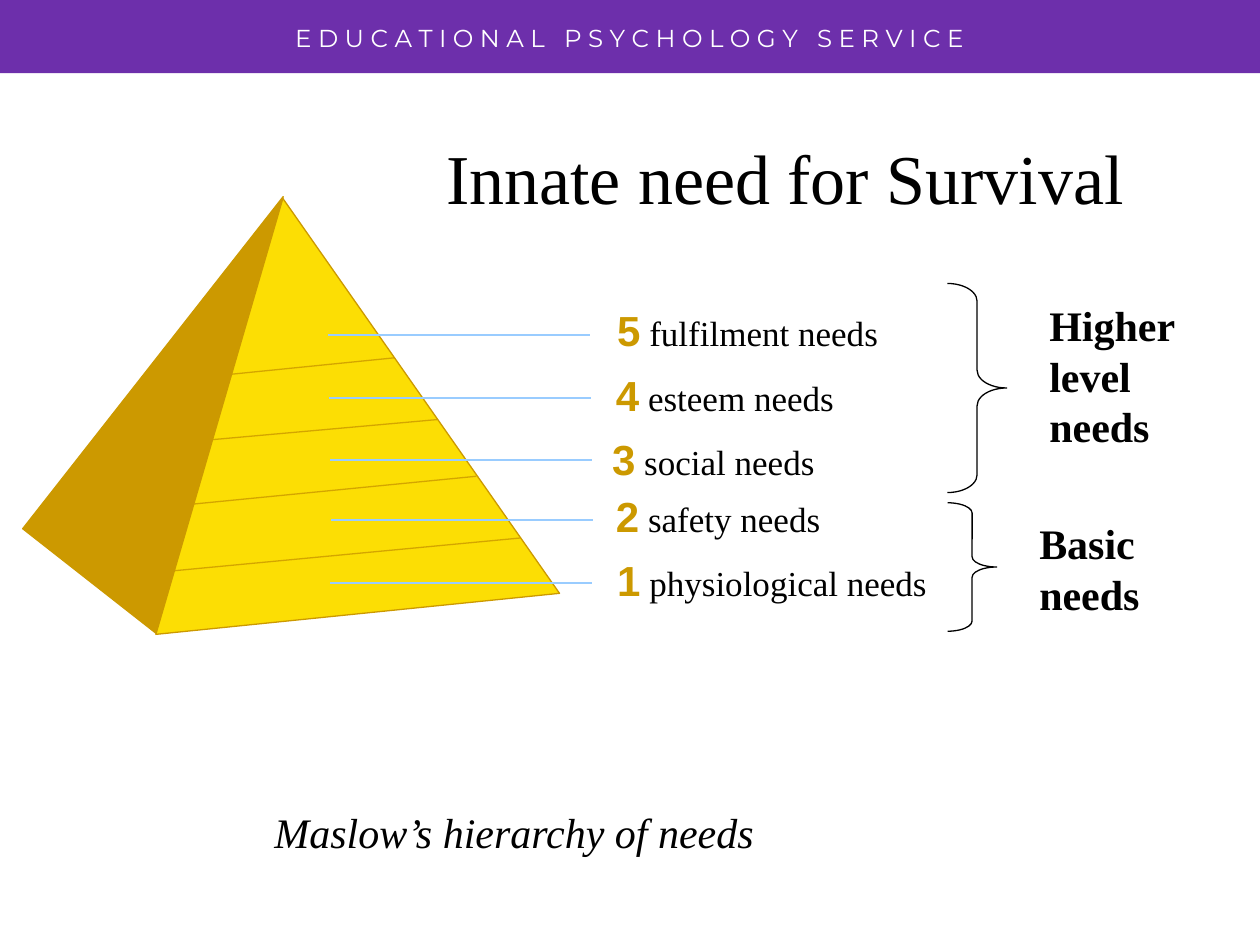
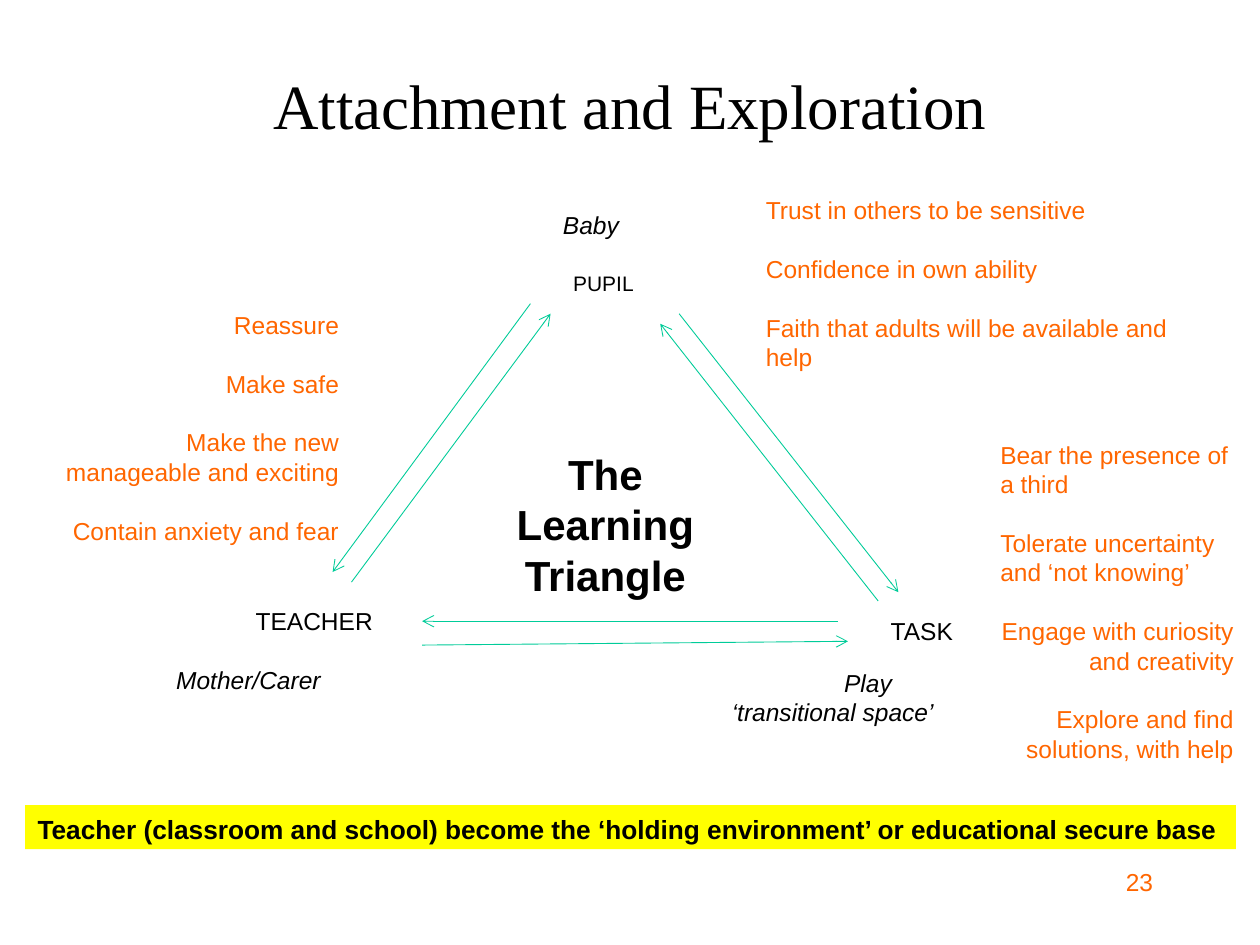
from dataclasses import dataclass

from lxml import etree
from pptx import Presentation
from pptx import util as u
from pptx.dml.color import RGBColor
from pptx.enum import shapes, text
from pptx.oxml.ns import qn


@dataclass(frozen=True)
class Theme:
    purple: str = "6D2FAB"
    gold: str = "CC9900"
    yellow: str = "FCDE04"
    highlight: str = "FFFF00"
    sky: str = "99CCFF"
    green: str = "00CC99"
    orange: str = "FF6600"
    black: str = "000000"
    white: str = "FFFFFF"
    serif: str = "Times New Roman"
    sans: str = "Arial"
    banner: str = "Montserrat"
    title: int = 40
    subtitle: int = 36
    large: int = 24
    medium: int = 20
    strip: int = 15
    body: int = 14
    small: int = 12


theme = Theme()
LEFT, CENTER, RIGHT = text.PP_ALIGN.LEFT, text.PP_ALIGN.CENTER, text.PP_ALIGN.RIGHT
TOP, MIDDLE = text.MSO_ANCHOR.TOP, text.MSO_ANCHOR.MIDDLE
PRESET = shapes.MSO_SHAPE

# Text formats
label = dict(name=theme.sans, size=theme.body, color=theme.black, bold=False, italic=False)
pupil = label | dict(size=theme.small)
role = label | dict(italic=True)
quality = label | dict(color=theme.orange)
strip = label | dict(size=theme.strip, bold=True)
centre = label | dict(size=theme.large, bold=True)
number = centre | dict(color=theme.gold)
need = label | dict(name=theme.serif, size=theme.medium)
group = centre | dict(name=theme.serif)
caption = label | dict(name=theme.serif, size=theme.large, italic=True)
heading = label | dict(name=theme.serif, size=theme.title)
subheading = heading | dict(size=theme.subtitle)
banner = label | dict(name=theme.banner, color=theme.white)

# The slide is a grid of 100 columns by 75 rows
CELL = u.Inches(0.1)


def write(box, place, lines, anchor=TOP, spacing=1.0, gap=0):
    """Place a box and fill it with lines of (alignment, (words, format), ...)."""
    for side, cells in zip(("left", "top", "width", "height"), place):
        setattr(box, side, round(cells * CELL))
    frame = box.text_frame
    frame.word_wrap = True
    frame.auto_size = text.MSO_AUTO_SIZE.NONE
    frame.vertical_anchor = anchor
    for index, (align, *spans) in enumerate(lines):
        para = frame.add_paragraph() if index else frame.paragraphs[0]
        para.alignment = align
        para.line_spacing = spacing
        para.space_before = u.Pt(gap if index else 0)
        for words, style in spans:
            span = para.add_run()
            span.text = words
            span.font.color.rgb = RGBColor.from_string(style["color"])
            span.font.size = u.Pt(style["size"])
            for key in ("name", "bold", "italic"):
                setattr(span.font, key, style[key])


def draw_line(page, ends, color, weight, arrow=False, opacity=100):
    line = page.shapes.add_connector(
        shapes.MSO_CONNECTOR.STRAIGHT, *(round(cells * CELL) for cells in ends))
    line.line.color.rgb = RGBColor.from_string(color)
    line.line.width = u.Pt(weight)
    outline = line.line._get_or_add_ln()
    if opacity < 100:
        tint = outline.find(".//" + qn("a:srgbClr"))
        etree.SubElement(tint, qn("a:alpha"), val=str(opacity * 1000))
    if arrow:
        etree.SubElement(outline, qn("a:tailEnd"), type="arrow")
    etree.SubElement(line._element.spPr, qn("a:effectLst"))


deck = Presentation()
deck.slide_width, deck.slide_height = 100 * CELL, 75 * CELL
title_only = deck.slide_layouts[5]
needs_page, triangle_page = (deck.slides.add_slide(title_only) for _ in range(2))

# Titles
for page, words, style, place in (
    (needs_page, "Innate need for Survival", heading, (31.9, 9.4, 60.8, 9.2)),
    (triangle_page, "Attachment and Exploration", subheading, (7.5, 2, 85, 12.5)),
):
    write(page.shapes.title, place, [(CENTER, (words, style))], MIDDLE)

# Filled shapes and braces: page, preset, place, rotation, adjustment, fill, outline, line
for page, preset, place, turn, adjust, fill, edge, line in (
    (needs_page, PRESET.RECTANGLE, (0, 0, 100, 5.8), 0, None, theme.purple, None,
     (CENTER, (" ".join("EDUCATIONAL PSYCHOLOGY SERVICE"), banner))),
    (needs_page, PRESET.ISOSCELES_TRIANGLE, (10.7, 16.2, 13.5, 33.5), 38.1, 0,
     theme.gold, theme.gold, None),
    (needs_page, PRESET.ISOSCELES_TRIANGLE, (10.6, 15.4, 32.2, 33.4), 354.2, 0.42,
     theme.yellow, theme.gold, None),
    (needs_page, PRESET.RIGHT_BRACE, (75.2, 22.5, 4.7, 16.6), 0, 0.3,
     None, theme.black, None),
    (needs_page, PRESET.RIGHT_BRACE, (75.2, 39.9, 3.9, 10.2), 0, 0.21,
     None, theme.black, None),
    (triangle_page, PRESET.RECTANGLE, (2, 63.9, 96.1, 3.5), 0, None, theme.highlight, None,
     (LEFT, ("Teacher (classroom and school) become the ‘holding environment’ "
             "or educational secure base", strip))),
):
    block = page.shapes.add_shape(preset, *(round(cells * CELL) for cells in place))
    block.shadow.inherit = False
    block.rotation = turn
    if adjust is not None:
        block.adjustments[0] = adjust
    if fill:
        block.fill.solid()
        block.fill.fore_color.rgb = RGBColor.from_string(fill)
    else:
        block.fill.background()
    if edge:
        block.line.color.rgb = RGBColor.from_string(edge)
        block.line.width = u.Pt(0.75)
    else:
        block.line.fill.background()
    if line:
        write(block, place, [line], MIDDLE)
        block.text_frame.margin_top = u.Inches(0.07)

# Pyramid seams
for seam in (
    (13.8, 45.3, 41.3, 42.7),
    (15.4, 40, 37.8, 37.8),
    (16.8, 34.9, 34.7, 33.3),
    (18.4, 29.7, 31.3, 28.4),
):
    draw_line(needs_page, seam, theme.gold, 0.75, opacity=82)

# Levels of need, each with its pointer: level, words, pointer start, words corner
for level, words, (x, y), corner in (
    (5, "fulfilment needs", (26, 26.6), (48, 24.1)),
    (4, "esteem needs", (26.1, 31.6), (47.9, 29.3)),
    (3, "social needs", (26.2, 36.5), (47.6, 34.4)),
    (2, "safety needs", (26.3, 41.3), (47.9, 38.9)),
    (1, "physiological needs", (26.2, 46.3), (48, 43.95)),
):
    draw_line(needs_page, (x, y, x + 20.8, y), theme.sky, 1.25)
    box = needs_page.shapes.add_textbox(0, 0, CELL, CELL)
    write(box, (*corner, 32.9, 4.6),
          [(LEFT, (str(level), number), (f" {words}", need))], spacing=0.9)

# Single labels on both slides
for page, place, align, words, style, anchor in (
    (needs_page, (82.3, 23.3, 13.4, 13), LEFT, "Higher level needs", group, TOP),
    (needs_page, (81.5, 40.6, 12.6, 9), LEFT, "Basic needs", group, TOP),
    (needs_page, (10.4, 61.4, 60.8, 9.2), CENTER,
     "Maslow’s hierarchy of needs", caption, MIDDLE),
    (triangle_page, (44.5, 21, 9.5, 3), LEFT, "PUPIL", pupil, TOP),
    (triangle_page, (19.3, 47.6, 14.2, 3.4), LEFT, "TEACHER", label, TOP),
    (triangle_page, (69.7, 48.4, 10.2, 3.4), LEFT, "TASK", label, TOP),
    (triangle_page, (43.7, 16.2, 9.4, 3.4), LEFT, "Baby", role, TOP),
    (triangle_page, (13, 52.3, 17.3, 3.4), LEFT, "Mother/Carer", role, TOP),
    (triangle_page, (39, 35.1, 18.1, 13), CENTER, "The Learning Triangle", centre, TOP),
    (triangle_page, (71.7, 68.3, 20.8, 5), RIGHT, "23", quality, TOP),
):
    box = page.shapes.add_textbox(0, 0, CELL, CELL)
    write(box, place, [(align, (words, style))], anchor)

# Arrows between pupil, teacher and task
for ends in (
    (27.9, 46.2, 43.7, 24.9),
    (42.1, 24.1, 26.4, 45.4),
    (53.9, 24.9, 71.3, 47),
    (69.7, 47.7, 52.4, 25.7),
    (33.5, 51.2, 67.3, 50.9),
    (66.5, 49.3, 33.5, 49.3),
):
    draw_line(triangle_page, ends, theme.green, 0.5, arrow=True)

# Lists around the triangle; qualities stand one line apart
LINE = 16.8
for place, style, gap, lines in (
    ((57.1, 52.5, 23.6, 5.7), role, 0,
     [(CENTER, "Play"), (LEFT, "‘transitional space’")]),
    ((3.5, 24.1, 24.4, 19.7), quality, LINE,
     [(RIGHT, "Reassure"),
      (RIGHT, "Make safe"),
      (RIGHT, "Make the new manageable and exciting"),
      (RIGHT, "Contain anxiety and fear")]),
    ((59.8, 15, 36.2, 15), quality, LINE,
     [(LEFT, "Trust in others to be sensitive"),
      (LEFT, "Confidence in own ability"),
      (LEFT, "Faith that adults will be available and help")]),
    ((78.4, 34.4, 20.5, 26.7), quality, LINE,
     [(LEFT, "Bear the presence of a third"),
      (LEFT, "Tolerate uncertainty and ‘not knowing’"),
      (RIGHT, "Engage with curiosity and creativity"),
      (RIGHT, "Explore and find solutions, with help")]),
):
    box = triangle_page.shapes.add_textbox(0, 0, CELL, CELL)
    write(box, place, [(align, (words, style)) for align, words in lines], gap=gap)

deck.save("out.pptx")
